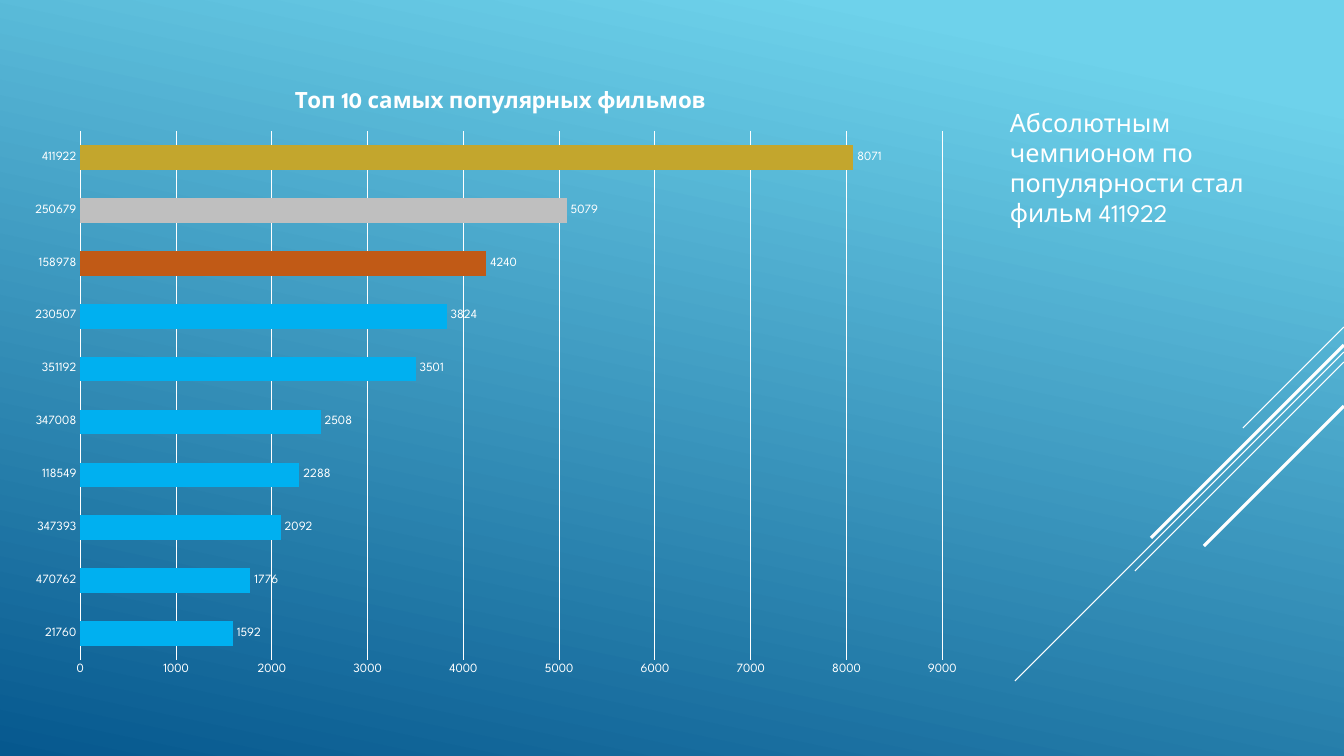
from pptx import Presentation
from pptx.chart.data import CategoryChartData as Data
from pptx.dml.color import RGBColor as RGB
from pptx.enum.chart import XL_CHART_TYPE as Kind, XL_LABEL_POSITION as Pos, XL_TICK_MARK as Tick
from pptx.enum.shapes import MSO_CONNECTOR as Link
from pptx.oxml import parse_xml
from pptx.oxml.ns import nsdecls, qn
from pptx.util import Emu, Pt
from lxml import etree

HUES = {"white": "FFFFFF", "sky": "6ED2EB", "deep": "06588E", "bar": "00B0F0",
        "gold": "C3A62D", "silver": "BFBFBF", "bronze": "C15A16"}
FACE = "League Spartan"
UNIT = 914400 / 100.8


def style(font, size):
    font.name = FACE
    font.size = Pt(size)
    font.color.rgb = RGB.from_string(HUES["white"])


def place(node, index, target, spots):
    for old in node.findall(qn("c:layout")):
        node.remove(old)
    inner = "".join(f'<c:{tag} val="{value}"/>' for tag, value in spots)
    node.insert(index, parse_xml(
        f'<c:layout {nsdecls("c")}><c:manualLayout>{target}'
        f'<c:xMode val="edge"/><c:yMode val="edge"/>{inner}'
        '</c:manualLayout></c:layout>'))


deck = Presentation()
deck.slide_width, deck.slide_height = Emu(round(1344 * UNIT)), Emu(round(756 * UNIT))
slide = deck.slides.add_slide(deck.slide_layouts[6])

back = slide.background.fill
back.gradient()
back.gradient_angle = 258
for stop, hue, spot in zip(back.gradient_stops, ("sky", "deep"), (0.1, 1)):
    stop.color.rgb = RGB.from_string(HUES[hue])
    stop.position = spot

for top, run, width in ((327, 101, 0.75), (352, 329, 0.75), (362, 209, 0.75),
                        (345, 193, 2.25), (406, 140, 2.25)):
    ends = [Emu(round(n * UNIT)) for n in (1344, top, 1344 - run, top + run)]
    ray = slide.shapes.add_connector(Link.STRAIGHT, *ends)
    ray.line.color.rgb = RGB.from_string(HUES["white"])
    ray.line.width = Pt(width)
    etree.SubElement(ray._element.spPr, qn("a:effectLst"))

box = [Emu(round(n * UNIT)) for n in (1000, 102, 286, 588)]
note = slide.shapes.add_textbox(*box).text_frame
note.word_wrap = True
para = note.paragraphs[0]
para.space_after = Pt(6)
run = para.add_run()
run.text = "Абсолютным чемпионом по популярности стал фильм 411922"
style(run.font, 18)

films = {"21760": 1592, "470762": 1776, "347393": 2092, "118549": 2288,
         "347008": 2508, "351192": 3501, "230507": 3824, "158978": 4240,
         "250679": 5079, "411922": 8071}
data = Data()
data.categories = list(films)
data.add_series("Series 1", films.values())
left, top, wide, high = 16, 67, 961, 623
box = [Emu(round(n * UNIT)) for n in (left, top, wide, high)]
chart = slide.shapes.add_chart(Kind.BAR_CLUSTERED, *box, data).chart
style(chart.font, 10)
chart.has_legend = False
chart.has_title = True
run = chart.chart_title.text_frame.paragraphs[0].add_run()
run.text = "Топ 10 самых популярных фильмов"
style(run.font, 16)
run.font.bold = True
chart.chart_title.include_in_layout = False

plot = chart.plots[0]
plot.vary_by_categories = False
plot.gap_width, plot.overlap = 115, -20
bars = plot.series[0]
bars.format.fill.solid()
bars.format.fill.fore_color.rgb = RGB.from_string(HUES["bar"])
for index, hue in enumerate(("bronze", "silver", "gold"), 7):
    fill = bars.points[index].format.fill
    fill.solid()
    fill.fore_color.rgb = RGB.from_string(HUES[hue])
tags = bars.data_labels
tags.show_value = True
tags.position = Pos.OUTSIDE_END
style(tags.font, 9)

names, scale = chart.category_axis, chart.value_axis
for axis in (names, scale):
    axis.major_tick_mark = axis.minor_tick_mark = Tick.NONE
    style(axis.tick_labels.font, 9)
names.format.line.color.rgb = RGB.from_string(HUES["white"])
names.format.line.width = Pt(1)
scale.format.line.fill.background()
scale.minimum_scale, scale.maximum_scale, scale.major_unit = 0, 9000, 1000
grid = scale.major_gridlines.format.line
grid.color.rgb = RGB.from_string(HUES["white"])
grid.width = Pt(0.75)

place(chart.chart_title._element, 1, "",
      (("x", round((291 - left) / wide, 3)), ("y", round((86 - top) / high, 3))))
place(chart._chartSpace.chart.plotArea, 0, '<c:layoutTarget val="inner"/>',
      (("x", round((80 - left) / wide, 3)), ("y", round((131 - top) / high, 3)),
       ("w", round(862 / wide, 3)), ("h", round(529 / high, 3))))

deck.save("out.pptx")
